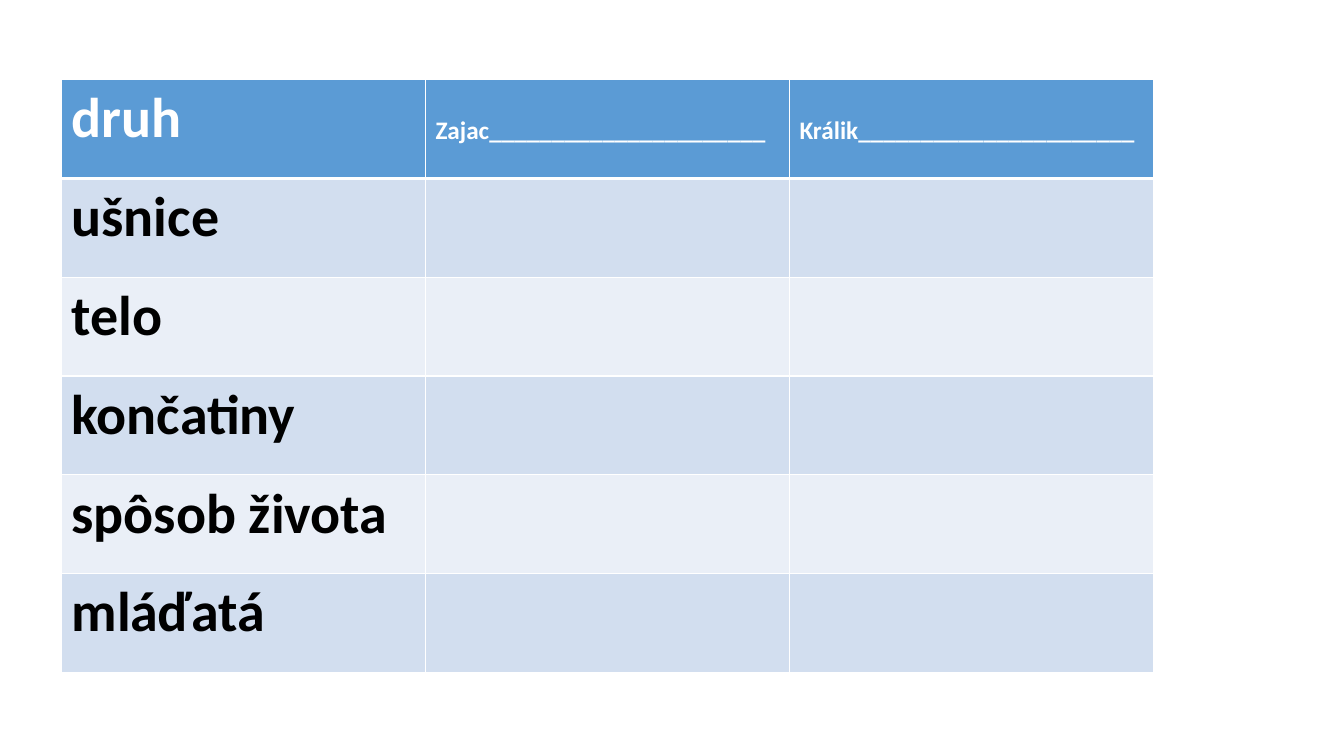
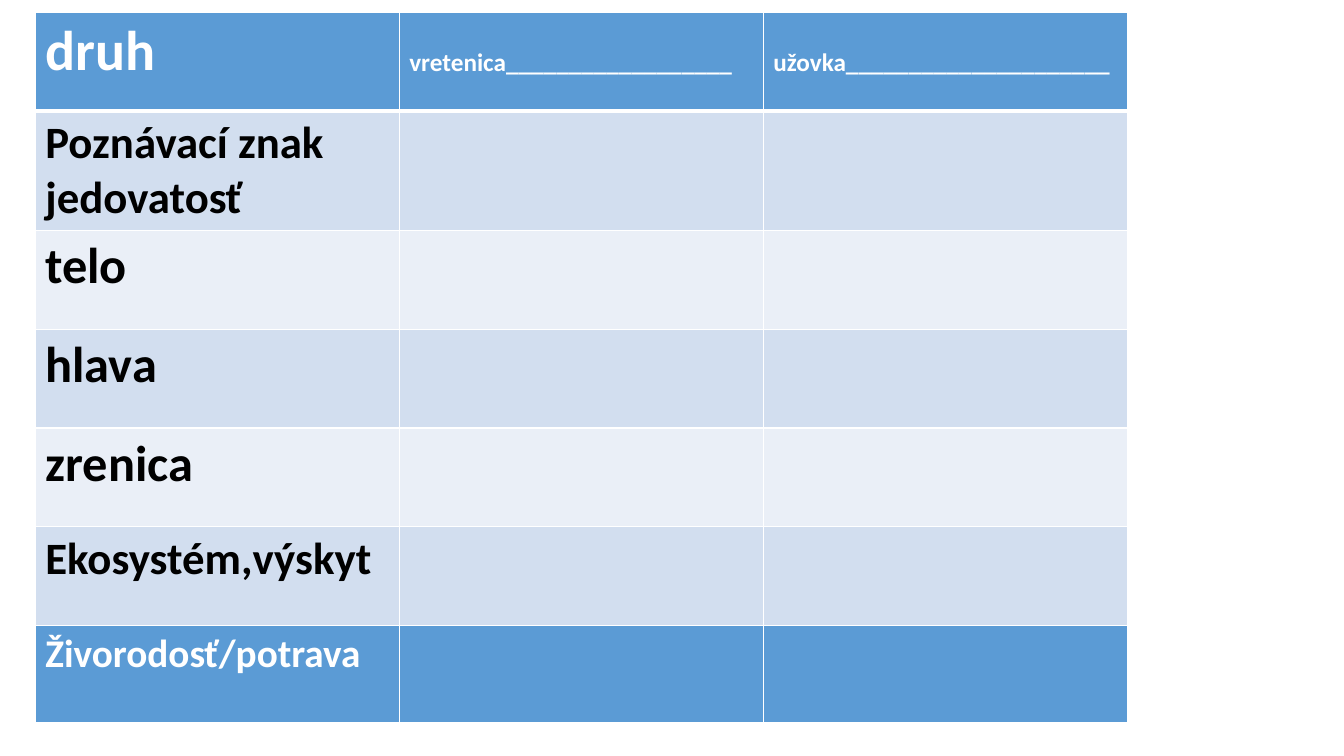
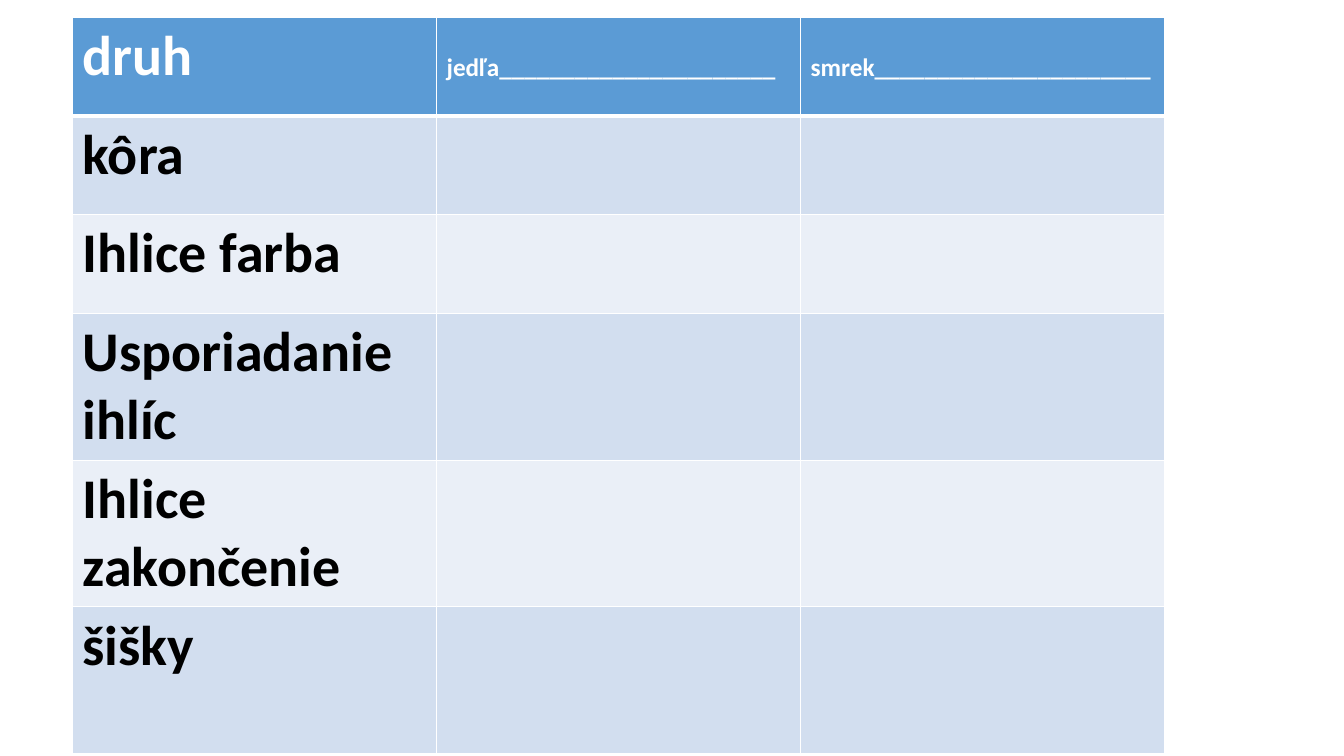
from dataclasses import dataclass
from typing import Any

from lxml.etree import SubElement
from pptx import Presentation
from pptx.dml.color import RGBColor as Rgb
from pptx.oxml.ns import qn
from pptx.util import Inches, Pt


@dataclass(frozen=True)
class Theme:
    font: str = "Calibri"
    accent: str = "5B9BD5"
    bands: tuple[str, str] = ("D2DEEF", "EAEFF7")
    light: str = "FFFFFF"
    dark: str = "000000"
    large: int = 40
    medium: int = 36
    small: int = 32
    footer: int = 28
    species: int = 18
    thin: int = 1
    thick: int = 3


@dataclass(frozen=True)
class Species:
    name: str
    blanks: int  # underscores left for the pupil's answer

    @property
    def text(self) -> str:
        return self.name + "_" * self.blanks


@dataclass(frozen=True)
class Trait:
    label: str
    size: int
    lines: int = 1


@dataclass(frozen=True)
class Worksheet:
    left: float
    top: float
    species: tuple[Species, Species]
    traits: tuple[Trait, ...]
    footer: Trait | None = None


THEME = Theme()
COLUMNS = 3
COLUMN_WIDTH = 3.61
ROW_HEIGHT = 0.98
LINE_SPACING = 1.22
MARGIN = 0.05

HEADING = Trait("druh", THEME.large)
WORKSHEETS = (
    Worksheet(
        0.61, 0.79,
        (Species("Zajac", 22), Species("Králik", 22)),
        tuple(Trait(label, THEME.large) for label in
              ("ušnice", "telo", "končatiny", "spôsob života", "mláďatá")),
    ),
    Worksheet(
        0.35, 0.12,
        (Species("vretenica", 18), Species("užovka", 21)),
        (
            Trait("Poznávací znak\njedovatosť", THEME.small, 2),
            Trait("telo", THEME.medium),
            Trait("hlava", THEME.medium),
            Trait("zrenica", THEME.medium),
            Trait("Ekosystém,výskyt", THEME.small),
        ),
        Trait("Živorodosť/potrava", THEME.footer),
    ),
    Worksheet(
        0.72, 0.17,
        (Species("jedľa", 22), Species("smrek", 22)),
        (
            Trait("kôra", THEME.large),
            Trait("Ihlice farba", THEME.large),
            Trait("Usporiadanie ihlíc", THEME.large, 2),
            Trait("Ihlice zakončenie", THEME.large, 2),
            Trait("šišky", THEME.large, 2),
        ),
    ),
)


def text_height(size: int, lines: int = 1) -> float:
    return lines * size * LINE_SPACING / 72


def row_height(trait: Trait) -> float:
    return max(ROW_HEIGHT, text_height(trait.size, trait.lines) + 2 * MARGIN)


def format_cell(cell: Any, fill: str, top: int, bottom: int) -> None:
    """Draw the borders first: the schema wants them before the fill."""
    properties = cell._tc.get_or_add_tcPr()
    widths = {"L": THEME.thin, "R": THEME.thin, "T": top, "B": bottom}
    for side, width in widths.items():
        line = SubElement(properties, qn(f"a:ln{side}"), w=str(Pt(width)))
        SubElement(SubElement(line, qn("a:solidFill")), qn("a:srgbClr"), val=THEME.light)
    cell.fill.solid()
    cell.fill.fore_color.rgb = Rgb.from_string(fill)


def write_cell(cell: Any, text: str, size: int, color: str) -> None:
    cell.text_frame.text = text
    font_format = {"name": THEME.font, "size": Pt(size), "bold": True}
    for paragraph in cell.text_frame.paragraphs:
        for name, value in font_format.items():
            setattr(paragraph.font, name, value)
        paragraph.font.color.rgb = Rgb.from_string(color)


def add_trait_table(slide: Any, left: float, top: float, traits: tuple[Trait, ...]) -> Any:
    """Add a table whose first row is an accent row and the others are banded."""
    heights = [row_height(trait) for trait in traits]
    lengths = (left, top, COLUMNS * COLUMN_WIDTH, sum(heights))
    table = slide.shapes.add_table(len(traits), COLUMNS, *map(Inches, lengths)).table
    table.first_row = table.horz_banding = False
    for column in table.columns:
        column.width = Inches(COLUMN_WIDTH)
    for index, (trait, height) in enumerate(zip(traits, heights)):
        is_accent = index == 0
        fill = THEME.accent if is_accent else THEME.bands[(index - 1) % 2]
        above = THEME.thick if index == 1 else THEME.thin
        below = THEME.thick if is_accent else THEME.thin
        row = table.rows[index]
        row.height = Inches(height)
        for cell in row.cells:
            format_cell(cell, fill, above, below)
        write_cell(row.cells[0], trait.label, trait.size,
                   THEME.light if is_accent else THEME.dark)
    return table


def add_worksheet(slide: Any, worksheet: Worksheet) -> None:
    traits = (HEADING, *worksheet.traits)
    table = add_trait_table(slide, worksheet.left, worksheet.top, traits)
    for column, species in enumerate(worksheet.species, start=1):
        cell = table.cell(0, column)
        write_cell(cell, species.text, THEME.species, THEME.light)
        cell.margin_top = Inches(MARGIN + text_height(THEME.species))
    if worksheet.footer:
        bottom = worksheet.top + sum(map(row_height, traits))
        add_trait_table(slide, worksheet.left, bottom, (worksheet.footer,))


def main() -> None:
    presentation = Presentation()
    presentation.slide_width = Inches(13.33)
    presentation.slide_height = Inches(7.5)
    blank_layout = presentation.slide_layouts[6]
    for worksheet in WORKSHEETS:
        add_worksheet(presentation.slides.add_slide(blank_layout), worksheet)
    presentation.save("out.pptx")


if __name__ == "__main__":
    main()
